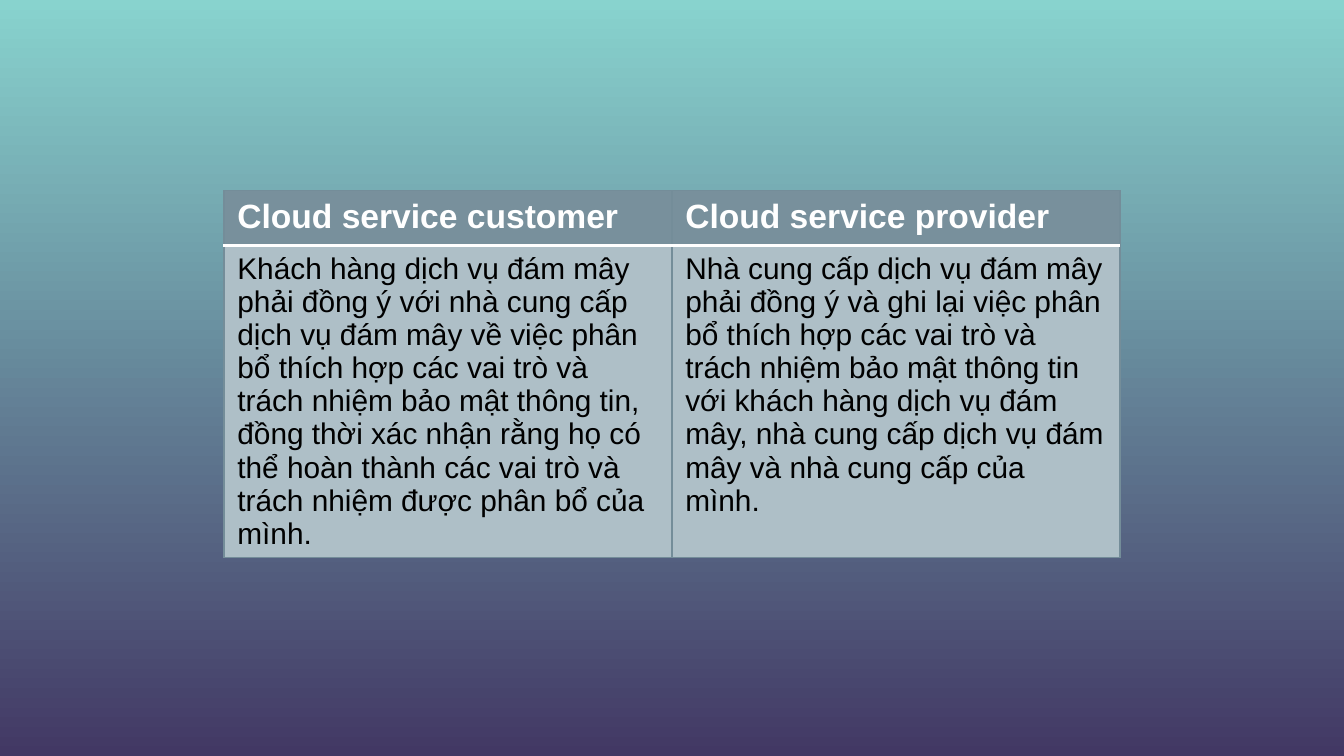
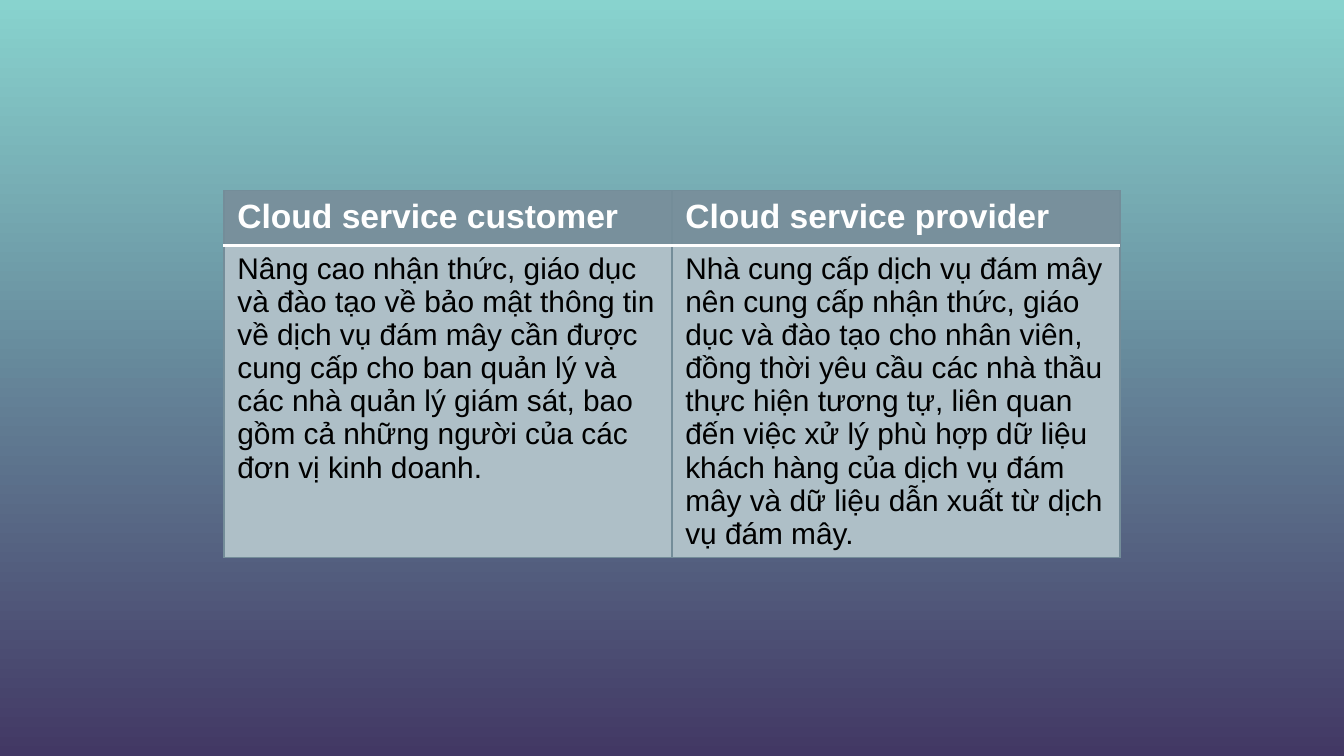
"""Builds two slides comparing cloud customer and provider duties."""
from dataclasses import dataclass
from typing import NamedTuple

from lxml.etree import SubElement
from pptx import Presentation
from pptx.dml.color import RGBColor as RGB
from pptx.oxml.ns import qn
from pptx.presentation import Presentation as Deck
from pptx.slide import Slide
from pptx.table import _Cell as Cell
from pptx.util import Pt


@dataclass(frozen=True)
class Theme:
    font: str = "Arial"
    bg_top: str = "88D3CE"
    bg_bottom: str = "423864"
    border: str = "748D99"
    rule: str = "FFFFFF"
    border_pt: float = 0.75
    rule_pt: float = 2


class RowStyle(NamedTuple):
    fill: str
    color: str
    size: float
    bold: bool
    rule_side: str


class Duties(NamedTuple):
    customer: str
    provider: str


THEME = Theme()
HEADER = RowStyle("78909C", "FFFFFF", 18, True, "B")
BODY = RowStyle("AEBFC7", "000000", 16, False, "T")
TITLES = Duties("Cloud service customer", "Cloud service provider")
SLIDES = [
    Duties(
        "Khách hàng dịch vụ đám mây phải đồng ý với nhà cung cấp dịch vụ đám mây "
        "về việc phân bổ thích hợp các vai trò và trách nhiệm bảo mật thông tin, "
        "đồng thời xác nhận rằng họ có thể hoàn thành các vai trò và trách nhiệm "
        "được phân bổ của mình.",
        "Nhà cung cấp dịch vụ đám mây phải đồng ý và ghi lại việc phân bổ thích hợp "
        "các vai trò và trách nhiệm bảo mật thông tin với khách hàng dịch vụ đám mây, "
        "nhà cung cấp dịch vụ đám mây và nhà cung cấp của mình.",
    ),
    Duties(
        "Nâng cao nhận thức, giáo dục và đào tạo về bảo mật thông tin về dịch vụ "
        "đám mây cần được cung cấp cho ban quản lý và các nhà quản lý giám sát, "
        "bao gồm cả những người của các đơn vị kinh doanh.",
        "Nhà cung cấp dịch vụ đám mây nên cung cấp nhận thức, giáo dục và đào tạo "
        "cho nhân viên, đồng thời yêu cầu các nhà thầu thực hiện tương tự, liên quan "
        "đến việc xử lý phù hợp dữ liệu khách hàng của dịch vụ đám mây và dữ liệu "
        "dẫn xuất từ dịch vụ đám mây.",
    ),
]


def paint_background(slide: Slide) -> None:
    fill = slide.background.fill
    fill.gradient()
    fill.gradient_angle = 270
    for stop, position, color in zip(
        fill.gradient_stops, (0, 1), (THEME.bg_top, THEME.bg_bottom)
    ):
        stop.position = position
        stop.color.rgb = RGB.from_string(color)


def set_borders(cell: Cell, rule_side: str) -> None:
    tc_pr = cell._tc.get_or_add_tcPr()
    for i, side in enumerate("LRTB"):
        is_rule = side == rule_side
        width = THEME.rule_pt if is_rule else THEME.border_pt
        ln = SubElement(tc_pr, qn(f"a:ln{side}"), w=str(Pt(width)))
        solid = SubElement(ln, qn("a:solidFill"))
        SubElement(solid, qn("a:srgbClr"), val=THEME.rule if is_rule else THEME.border)
        tc_pr.insert(i, ln)


def fill_cell(cell: Cell, text: str, style: RowStyle) -> None:
    cell.fill.solid()
    cell.fill.fore_color.rgb = RGB.from_string(style.fill)
    set_borders(cell, style.rule_side)
    cell.text = text
    font = cell.text_frame.paragraphs[0].font
    font.name, font.size, font.bold = THEME.font, Pt(style.size), style.bold
    font.color.rgb = RGB.from_string(style.color)


def add_duties_slide(prs: Deck, duties: Duties) -> None:
    slide = prs.slides.add_slide(prs.slide_layouts[6])
    paint_background(slide)
    sp = slide.shapes.add_table(2, 2, Pt(120), Pt(102.25), Pt(480), Pt(58.5))
    rows = ((TITLES, HEADER), (duties, BODY))
    for row, (texts, style) in zip(sp.table.rows, rows):
        for cell, text in zip(row.cells, texts):
            fill_cell(cell, text, style)
    sp.height = Pt(209.5)


def main() -> None:
    prs = Presentation()
    prs.slide_width, prs.slide_height = Pt(720), Pt(405)
    for duties in SLIDES:
        add_duties_slide(prs, duties)
    prs.save("out.pptx")


if __name__ == "__main__":
    main()
